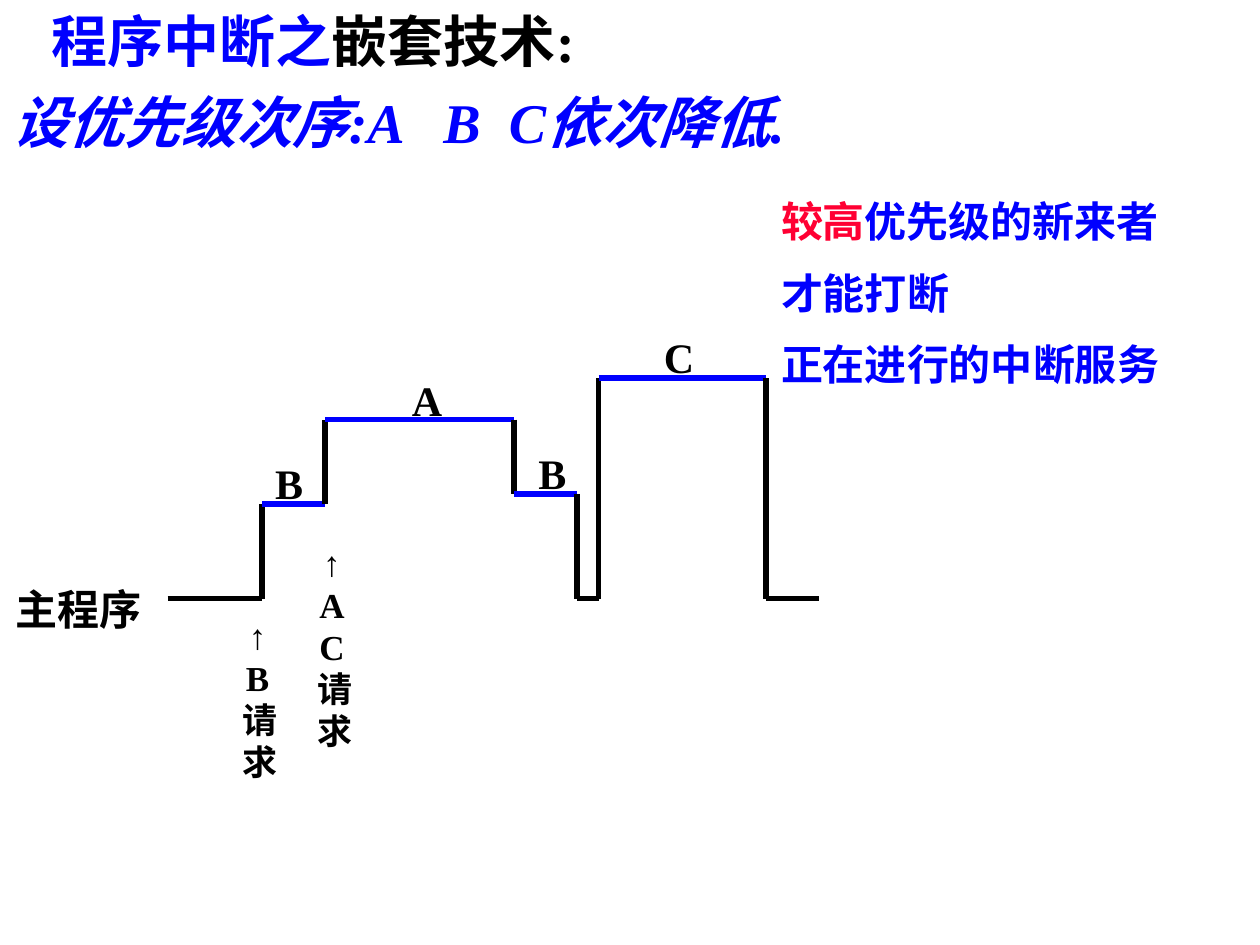
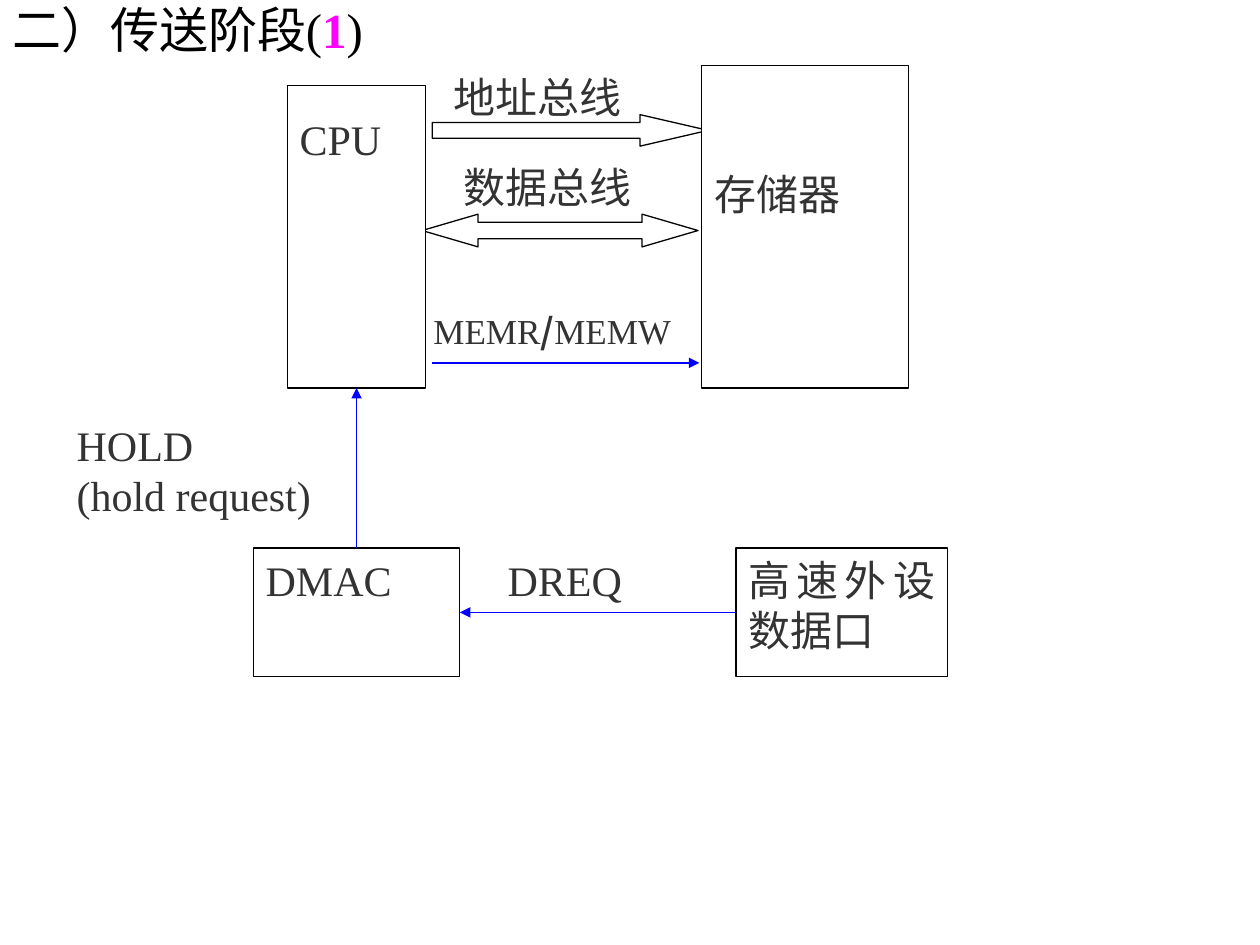
from itertools import pairwise

from lxml import etree
from pptx import Presentation
from pptx.dml.color import RGBColor
from pptx.enum.shapes import MSO_CONNECTOR, MSO_SHAPE
from pptx.enum.text import MSO_ANCHOR, PP_ALIGN
from pptx.oxml.ns import qn
from pptx.util import Inches, Pt

STRAIGHT = MSO_CONNECTOR.STRAIGHT
RECT = MSO_SHAPE.RECTANGLE
RIGHT_ARROW, BOTH_ARROW = MSO_SHAPE.RIGHT_ARROW, MSO_SHAPE.LEFT_RIGHT_ARROW
TOP = MSO_ANCHOR.TOP
LEFT, CENTER, JUSTIFY = PP_ALIGN.LEFT, PP_ALIGN.CENTER, PP_ALIGN.JUSTIFY

COLORS = {"black": "000000", "blue": "0000FF", "red": "FF0033",
          "magenta": "FF00FF", "gray": "333333", "white": "FFFFFF"}
RGB = {name: RGBColor.from_string(value) for name, value in COLORS.items()}
FONT = "Times New Roman"
CJK_FONT = "Noto Sans CJK SC"


def add_text(slide, paras, box, size=24, color="black", bold=False, italic=False,
             align=LEFT, before=0, spacing=None, top=0.05, left=0.1, border=None):
    """Each paragraph is a string or a list of (text, run format) pairs."""
    dims = [Inches(v) for v in box]
    if border:
        sp = slide.shapes.add_shape(RECT, *dims)
        sp.shadow.inherit = False
        sp.fill.solid()
        sp.fill.fore_color.rgb = RGB["white"]
        sp.line.color.rgb = RGB[border]
        sp.line.width = Pt(0.75)
    else:
        sp = slide.shapes.add_textbox(*dims)
    tf = sp.text_frame
    tf.word_wrap = True
    tf.vertical_anchor = TOP
    tf.margin_top, tf.margin_left = Inches(top), Inches(left)
    for i, para in enumerate(paras):
        p = tf.paragraphs[0] if i == 0 else tf.add_paragraph()
        p.alignment = align
        if i and before:
            p.space_before = Pt(before)
        if spacing:
            p.line_spacing = spacing
        for text, fmt in [(para, {})] if isinstance(para, str) else para:
            r = p.add_run()
            r.text = text
            r.font.name = fmt.get("font", FONT)
            r.font.size = Pt(size)
            r.font.bold = fmt.get("bold", bold)
            r.font.italic = fmt.get("italic", italic)
            r.font.color.rgb = RGB[fmt.get("color", color)]
    return sp


def add_line(slide, start, end, color, width, arrow=False):
    cx = slide.shapes.add_connector(STRAIGHT, *[Inches(v) for v in (*start, *end)])
    cx.line.color.rgb = RGB[color]
    cx.line.width = Pt(width)
    if arrow:
        etree.SubElement(cx.line._get_or_add_ln(), qn("a:tailEnd"), type="triangle")
    etree.SubElement(cx._element.spPr, qn("a:effectLst"))
    return cx


prs = Presentation()
prs.slide_width, prs.slide_height = Inches(10), Inches(7.5)
blank = prs.slide_layouts[6]

# Slide 1: nested interrupts
s = prs.slides.add_slide(blank)
sp = add_text(s, [[("程序中断之", {"color": "blue"}), ("嵌套技术:", {})],
                  [("设优先级次序:A\tB\tC依次降低.", {"color": "blue", "italic": True})]],
              (0, 0, 6.61, 1.39), size=32, bold=True, before=8)
title, priority = sp.text_frame.paragraphs
title._p.get_or_add_pPr().set("marL", str(Inches(0.31)))
tabs = etree.Element(qn("a:tabLst"))
for stop in (3.42, 3.94):
    etree.SubElement(tabs, qn("a:tab"), pos=str(Inches(stop)), algn="l")
priority._p.get_or_add_pPr().append(tabs)

# Timeline: service levels are blue, the main program and jumps are black
base = 4.75
timeline = [(1.33, base), (2.08, base), (2.08, 4), (2.58, 4), (2.58, 3.33),
            (4.08, 3.33), (4.08, 3.92), (4.58, 3.92), (4.58, base), (4.75, base),
            (4.75, 3), (6.08, 3), (6.08, base), (6.5, base)]
for start, end in pairwise(timeline):
    in_service = start[1] == end[1] != base
    add_line(s, start, end, "blue" if in_service else "black", 3)

# Service labels and requests
for name, x, y in [("B", 2.08, 3.58), ("A", 3.17, 2.92), ("B", 4.17, 3.5), ("C", 5.17, 2.58)]:
    add_text(s, [name], (x, y, 0.43, 0.5), bold=True, align=CENTER)
for names, x, y, h in [("AC", 2.42, 4.25, 1.77), ("B", 1.83, 4.83, 1.44)]:
    add_text(s, ["↑", names, "请求"], (x, y, 0.43, h), size=20, bold=True, align=CENTER)
add_text(s, ["主程序"], (0, 4.58, 1.25, 0.5), bold=True, align=CENTER)

# Rule
add_text(s, [[("较高", {"color": "red"}), ("优先级的新来者", {})],
             "才能打断", "正在进行的中断服务"],
         (6.1, 1.55, 3.39, 1.6), color="blue", bold=True, before=15, spacing=0.9)

# Slide 2: DMA transfer stage
s = prs.slides.add_slide(blank)
add_text(s, [[("二）传送阶段(", {}), ("1", {"color": "magenta", "bold": True}), (")", {})]],
         (0, 0, 3.38, 0.52), size=28, spacing=0.9)

# Signal labels
for lines, box in [(["HOLD", "(hold request)"], (0.51, 3.28, 2.24, 0.77)),
                   (["DREQ"], (3.93, 4.35, 1.92, 0.76)),
                   (["数据总线"], (3.58, 1.23, 1.92, 0.77)),
                   (["地址总线"], (3.5, 0.52, 1.92, 0.76))]:
    add_text(s, lines, box, color="gray", align=JUSTIFY, border="white")
add_text(s, [[("MEMR", {}), ("/", {"font": CJK_FONT, "bold": True}), ("MEMW", {})]],
         (3.27, 2.41, 2.31, 0.56), size=20, color="gray", align=JUSTIFY,
         left=0.17, border="white")

# Buses
for kind, box, head in [(RIGHT_ARROW, (3.43, 0.91, 2.19, 0.25), 2.16),
                        (BOTH_ARROW, (3.35, 1.7, 2.19, 0.26), 1.71)]:
    sp = s.shapes.add_shape(kind, *[Inches(v) for v in box])
    sp.shadow.inherit = False
    sp.adjustments[0], sp.adjustments[1] = 0.5, head
    sp.fill.solid()
    sp.fill.fore_color.rgb = RGB["white"]
    sp.line.color.rgb = RGB["black"]
    sp.line.width = Pt(0.75)

# Units
units = {}
for name, box, top in [("DMAC", (2.01, 4.35, 1.64, 1.02), 0.05),
                       ("高速外设数据口", (5.84, 4.35, 1.68, 1.02), 0.05),
                       ("存储器", (5.57, 0.52, 1.64, 2.56), 0.82),
                       ("CPU", (2.28, 0.68, 1.1, 2.4), 0.22)]:
    units[name] = add_text(s, [name], box, color="gray", align=JUSTIFY,
                           top=top, border="black")

# Control signals
add_line(s, (3.43, 2.88), (5.55, 2.88), "blue", 0.75, arrow=True)
hold = add_line(s, (2.83, 4.35), (2.83, 3.08), "blue", 0.75, arrow=True)
hold.begin_connect(units["DMAC"], 0)
hold.end_connect(units["CPU"], 2)
dreq = add_line(s, (5.84, 4.86), (3.65, 4.86), "blue", 0.75, arrow=True)
dreq.begin_connect(units["高速外设数据口"], 1)
dreq.end_connect(units["DMAC"], 3)

prs.save("out.pptx")
